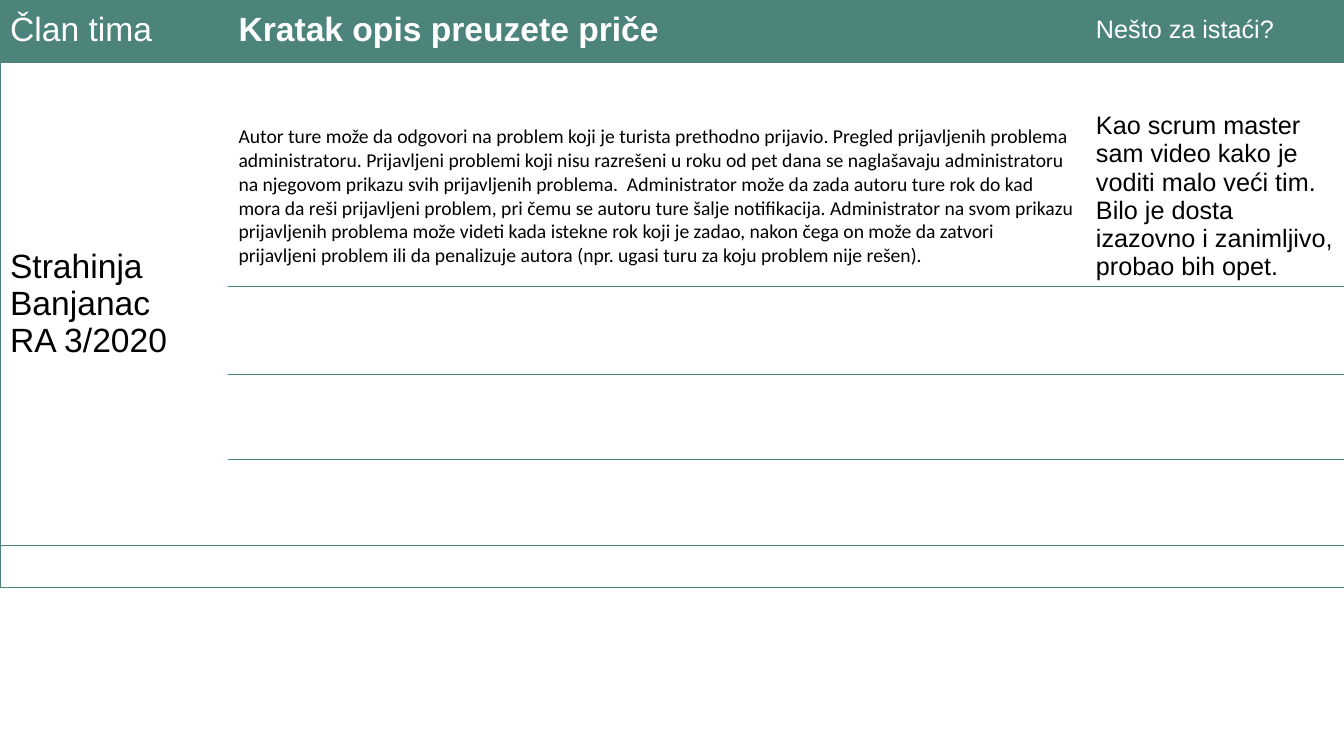
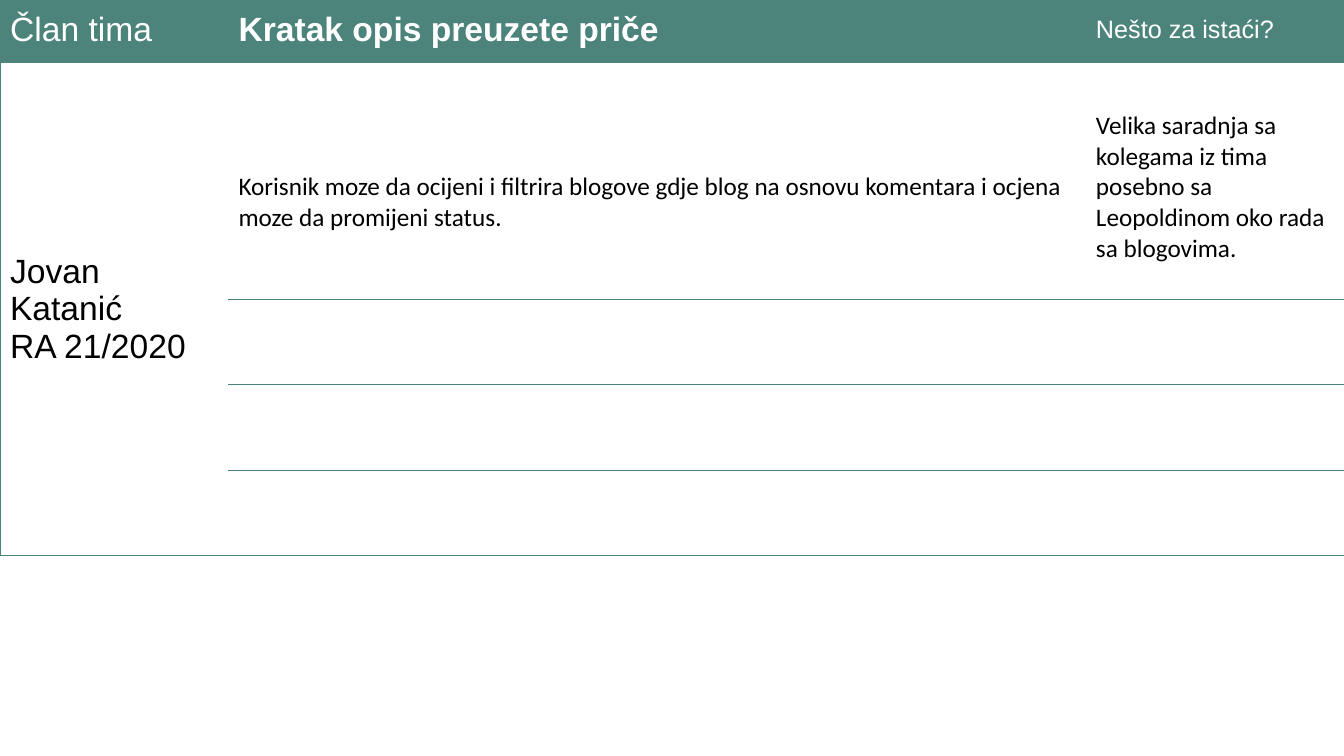
from dataclasses import dataclass

from lxml import etree
from pptx import Presentation
from pptx.dml.color import RGBColor
from pptx.enum.text import MSO_ANCHOR
from pptx.oxml.ns import qn
from pptx.util import Inches, Pt

MIDDLE = MSO_ANCHOR.MIDDLE
BLANK = 6


@dataclass(frozen=True)
class Theme:
    green: str = "4C847B"
    white: str = "FFFFFF"
    black: str = "000000"
    sans: str = "Arial"
    body: str = "Calibri"
    large: int = 24
    medium: int = 18
    small: int = 14
    line: float = 0.75


# Shares of the slide's width and height, in percent
COLUMNS = (17, 63.8, 19.3)
TABLE_TOP = -0.4
HEADER_ROW = 8.67
NAME_ROWS = 8  # rows the member's name spans


class Deck:
    def __init__(self, theme):
        self.theme = theme
        self.prs = Presentation()
        self.prs.slide_width, self.prs.slide_height = Inches(13.33), Inches(7.5)
        self.s = None

    def x(self, share):
        return round(self.prs.slide_width * share / 100)

    def y(self, share):
        return round(self.prs.slide_height * share / 100)

    def slide(self):
        self.s = self.prs.slides.add_slide(self.prs.slide_layouts[BLANK])

    def borders(self, cell, drawn):
        """Draw the named edges (L, R, T, B) and clear the others."""
        tc_pr = cell._tc.get_or_add_tcPr()
        for edge in "LRTB":
            ln = etree.SubElement(tc_pr, qn(f"a:ln{edge}"), w=str(Pt(self.theme.line)))
            if edge in drawn:
                fill = etree.SubElement(ln, qn("a:solidFill"))
                etree.SubElement(fill, qn("a:srgbClr"), val=self.theme.green)
            else:
                etree.SubElement(ln, qn("a:noFill"))

    def text(self, cell, text, size, font, color=None, bold=False):
        cell.vertical_anchor = MIDDLE
        tf = cell.text_frame
        tf.text = text
        for p in tf.paragraphs:
            p.font.size, p.font.name, p.font.bold = Pt(size), font, bold
            p.font.color.rgb = RGBColor.from_string(color or self.theme.black)

    def grid(self, row_shares):
        """Empty table: green header, then rows ruled off in pairs."""
        heights = [HEADER_ROW, *row_shares]
        last = len(heights) - 1
        table = self.s.shapes.add_table(
            len(heights), len(COLUMNS), 0, self.y(TABLE_TOP),
            self.x(sum(COLUMNS)), self.y(sum(heights))).table
        table.first_row = table.horz_banding = False
        for column, share in zip(table.columns, COLUMNS):
            column.width = self.x(share)
        for row, share in zip(table.rows, heights):
            row.height = self.y(share)
        for r in range(last + 1):
            for c in range(len(COLUMNS)):
                cell = table.cell(r, c)
                name_cell = c == 0 and 1 <= r <= NAME_ROWS
                top = r in (0, 1) if c == 0 and r <= NAME_ROWS else r % 2
                bottom = r in (1, NAME_ROWS) if name_cell else r % 2 == 0 or r == last
                edges = ("L" if c == 0 else "") + ("R" if c == 2 else "")
                self.borders(cell, edges + "T" * bool(top) + "B" * bool(bottom))
                if r == 0:
                    cell.fill.solid()
                    cell.fill.fore_color.rgb = RGBColor.from_string(self.theme.green)
                else:
                    cell.fill.background()
        table.cell(1, 0).merge(table.cell(NAME_ROWS, 0))
        return table

    def member(self, rows, name, story, story_size, remark, remark_font, remark_gap=0):
        """One team member's slide; remark_gap is free space below the remark."""
        t = self.theme
        self.slide()
        table = self.grid(rows)
        # Header
        self.text(table.cell(0, 0), "Član tima", t.large, t.sans, t.white)
        self.text(table.cell(0, 1), "Kratak opis preuzete priče", t.large, t.sans, t.white, True)
        self.text(table.cell(0, 2), "Nešto za istaći?", t.medium, t.sans, t.white)
        # Content
        self.text(table.cell(1, 0), name, t.large, t.sans)
        self.text(table.cell(2, 1), story, story_size, t.body)
        remark_cell = table.cell(2, 2)
        self.text(remark_cell, remark, t.medium, remark_font)
        remark_cell.margin_bottom = Inches(0.05) + self.y(remark_gap)


def main():
    theme = Theme()
    deck = Deck(theme)

    deck.member(
        [5.82, 23.8, 5.82, 5.82] + [5.65] * 5,
        "Strahinja Banjanac\nRA 3/2020",
        "Autor ture može da odgovori na problem koji je turista prethodno prijavio. "
        "Pregled prijavljenih problema administratoru. Prijavljeni problemi koji nisu "
        "razrešeni u roku od pet dana se naglašavaju administratoru na njegovom prikazu "
        "svih prijavljenih problema.  Administrator može da zada autoru ture rok do kad "
        "mora da reši prijavljeni problem, pri čemu se autoru ture šalje notifikacija. "
        "Administrator na svom prikazu prijavljenih problema može videti kada istekne rok "
        "koji je zadao, nakon čega on može da zatvori prijavljeni problem ili da "
        "penalizuje autora (npr. ugasi turu za koju problem nije rešen).",
        theme.small,
        "Kao scrum master sam video kako je voditi malo veći tim. Bilo je dosta "
        "izazovno i zanimljivo, probao bih opet.",
        theme.sans)

    deck.member(
        [5.65, 25.4] + [5.65] * 6,
        "Jovan Katanić\nRA 21/2020",
        "Korisnik moze da ocijeni i filtrira blogove gdje blog na osnovu komentara i "
        "ocjena moze da promijeni status.",
        theme.medium,
        "Velika saradnja sa kolegama iz tima posebno sa Leopoldinom oko rada sa blogovima.",
        theme.body, remark_gap=4)

    deck.prs.save("out.pptx")


if __name__ == "__main__":
    main()
